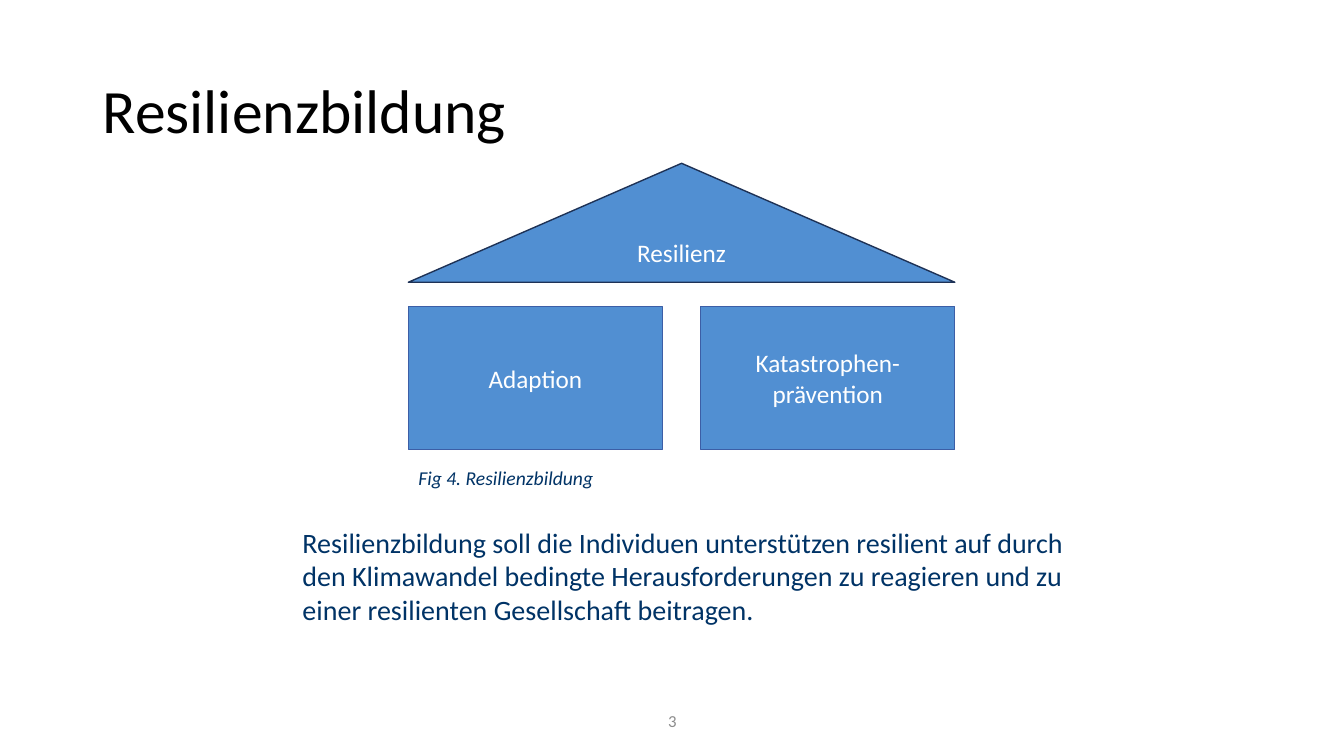
import pptx
import pptx.util
from pptx.dml.color import RGBColor
from pptx.enum.shapes import MSO_SHAPE
from pptx.enum.text import MSO_ANCHOR, PP_ALIGN

Inches = pptx.util.Inches

BLACK = RGBColor(0x00, 0x00, 0x00)
WHITE = RGBColor(0xFF, 0xFF, 0xFF)
NAVY = RGBColor(0x00, 0x33, 0x66)
GRAY = RGBColor(0x8C, 0x8C, 0x8C)
BLUE = RGBColor(0x51, 0x8F, 0xD2)
PILLAR_EDGE = RGBColor(0x3C, 0x5E, 0xA6)
ROOF_EDGE = RGBColor(0x1E, 0x32, 0x56)

# House grid: two pillar columns under one roof
HOUSE_LEFT, PILLAR_TOP = 4.05, 3.04
PILLAR_WIDTH, PILLAR_HEIGHT, PILLAR_GAP = 2.52, 1.42, 0.38
HOUSE_WIDTH = 2 * PILLAR_WIDTH + PILLAR_GAP
ROOF_TOP, ROOF_HEIGHT = 1.62, 1.18

presentation = pptx.Presentation()
presentation.slide_width = Inches(13.33)
presentation.slide_height = Inches(7.5)
slide = presentation.slides.add_slide(presentation.slide_layouts[6])


def write_text(shape, text, size, color, anchor, alignment, italic=False):
    frame = shape.text_frame
    frame.word_wrap = True
    frame.vertical_anchor = anchor
    paragraph = frame.paragraphs[0]
    paragraph.alignment = alignment
    run = paragraph.add_run()
    run.text = text
    font_format = {"name": "Calibri", "size": pptx.util.Pt(size), "italic": italic}
    for name, value in font_format.items():
        setattr(run.font, name, value)
    run.font.color.rgb = color
    return frame


# House: pillars and roof
house_parts = [
    (MSO_SHAPE.RECTANGLE, HOUSE_LEFT + column * (PILLAR_WIDTH + PILLAR_GAP),
     PILLAR_TOP, PILLAR_WIDTH, PILLAR_HEIGHT, PILLAR_EDGE, label)
    for column, label in enumerate(["Adaption", "Katastrophen-prävention"])
]
house_parts.append((MSO_SHAPE.ISOSCELES_TRIANGLE, HOUSE_LEFT, ROOF_TOP,
                    HOUSE_WIDTH, ROOF_HEIGHT, ROOF_EDGE, "Resilienz"))
for kind, left, top, width, height, edge, label in house_parts:
    shape = slide.shapes.add_shape(
        kind, Inches(left), Inches(top), Inches(width), Inches(height))
    shape.shadow.inherit = False
    shape.fill.solid()
    shape.fill.fore_color.rgb = BLUE
    shape.line.color.rgb = edge
    shape.line.width = pptx.util.Pt(1)
    write_text(shape, label, 18, WHITE, MSO_ANCHOR.MIDDLE, PP_ALIGN.CENTER)

# Texts: box, wording, size, colour, anchor, alignment, italic, left margin, line spacing
texts = [
    ((0.92, 0.4, 11.5, 1.45), "Resilienzbildung",
     44, BLACK, MSO_ANCHOR.MIDDLE, PP_ALIGN.LEFT, False, 0.1, 0.9),
    ((HOUSE_LEFT, 4.57, 4.09, 0.34), "Fig 4. Resilienzbildung",
     14, NAVY, MSO_ANCHOR.TOP, PP_ALIGN.LEFT, True, 0.1, 1.0),
    ((2.7, 5.16, 8.11, 1.11),
     "Resilienzbildung soll die Individuen unterstützen resilient auf durch "
     "den Klimawandel bedingte Herausforderungen zu reagieren und zu "
     "einer resilienten Gesellschaft beitragen.",
     20, NAVY, MSO_ANCHOR.TOP, PP_ALIGN.LEFT, False, 0.3, 1.0),
    ((4.42, 6.95, 4.5, 0.4), "3",
     12, GRAY, MSO_ANCHOR.MIDDLE, PP_ALIGN.CENTER, False, 0.1, 1.0),
]
for box, text, size, color, anchor, alignment, italic, margin, spacing in texts:
    shape = slide.shapes.add_textbox(*(Inches(length) for length in box))
    frame = write_text(shape, text, size, color, anchor, alignment, italic)
    frame.margin_left = Inches(margin)
    frame.paragraphs[0].line_spacing = spacing

presentation.save("out.pptx")
